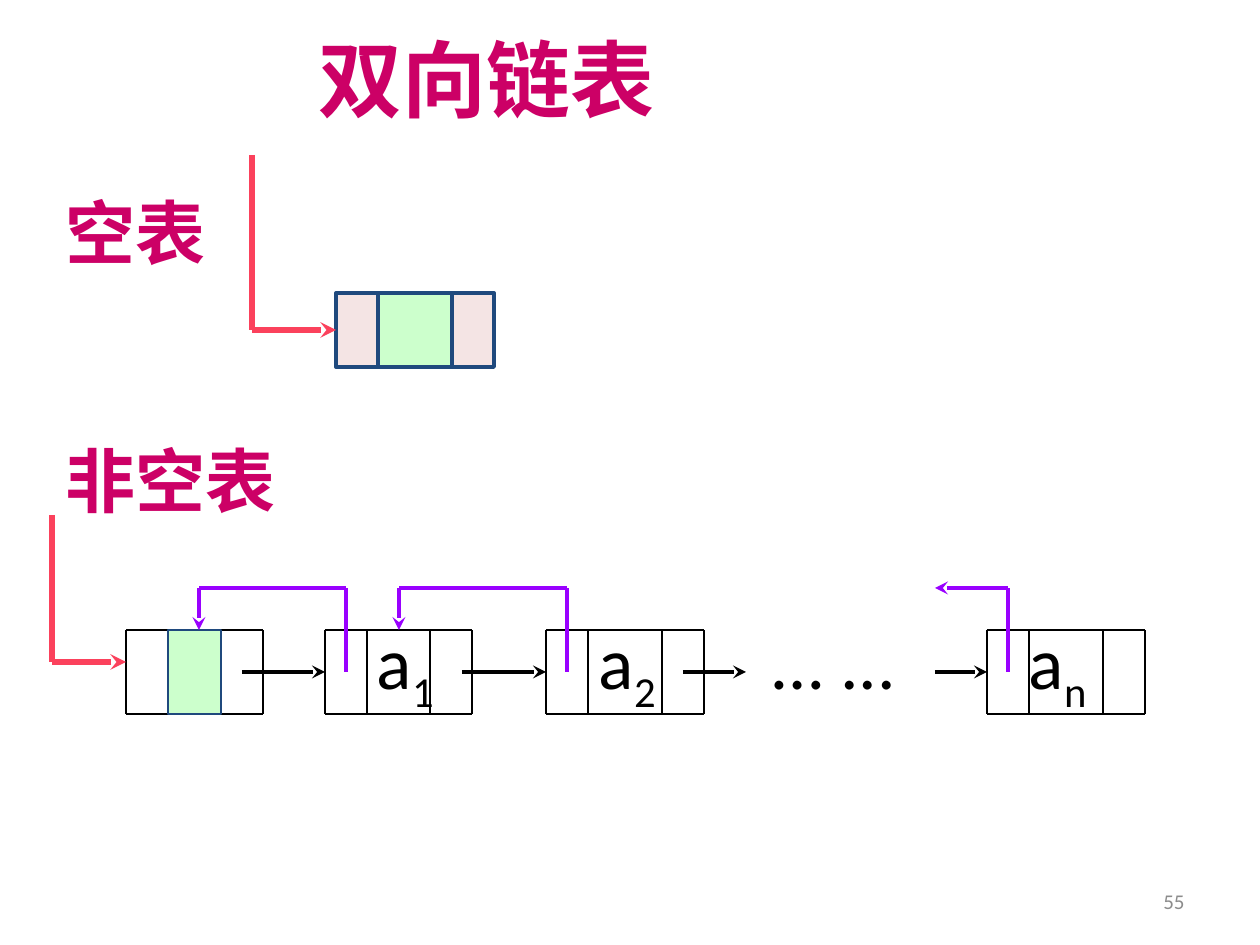
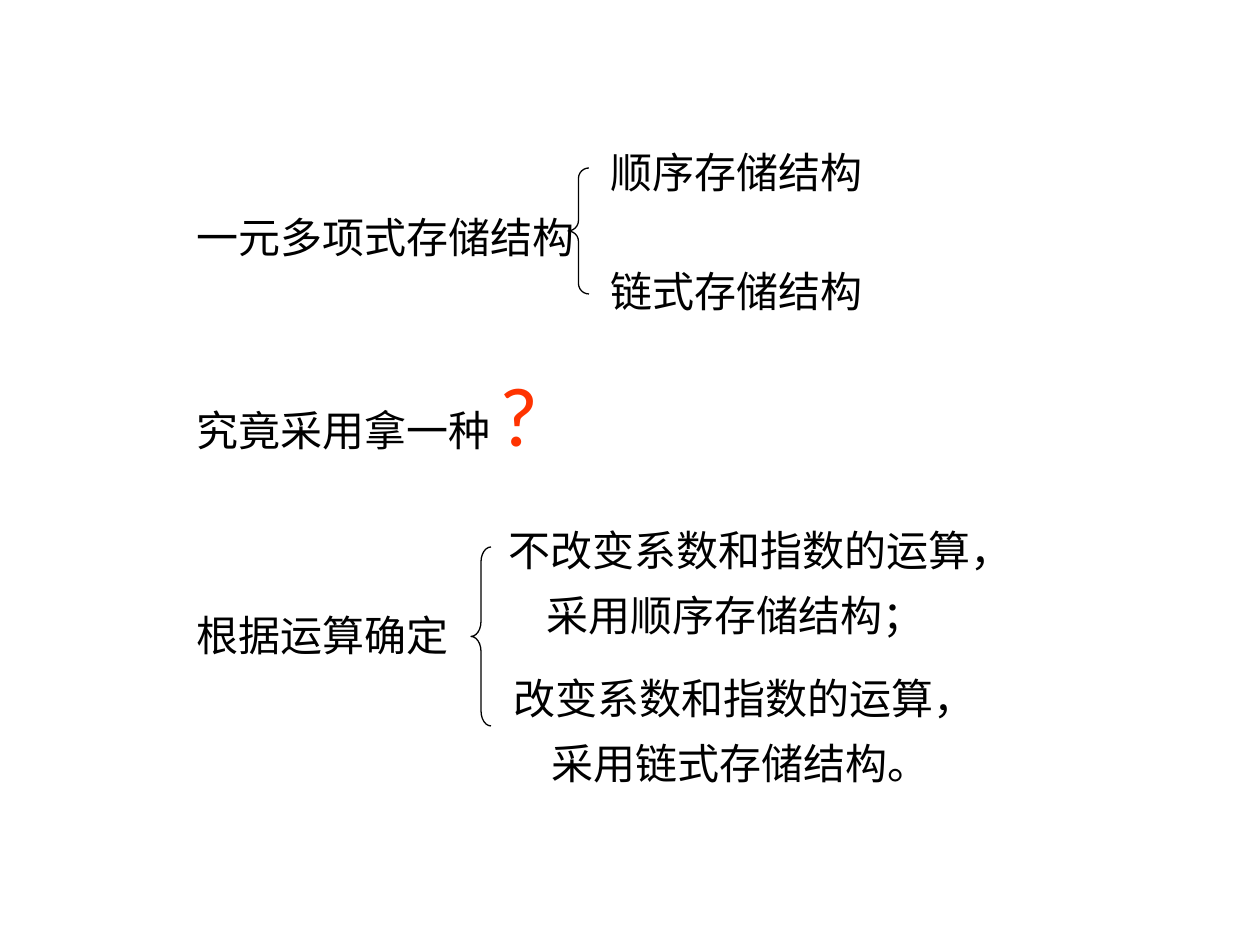
import itertools

import lxml.etree
import pptx
import pptx.dml.color
import pptx.enum.lang
import pptx.enum.shapes
import pptx.enum.text
import pptx.oxml.ns
import pptx.util

RGB = pptx.dml.color.RGBColor
SHAPE = pptx.enum.shapes.MSO_SHAPE
ANCHOR = pptx.enum.text.MSO_ANCHOR
ALIGN = pptx.enum.text.PP_ALIGN
qn = pptx.oxml.ns.qn

MAGENTA = RGB(0xCC, 0x00, 0x66)
BLACK = RGB(0x00, 0x00, 0x00)
GREY = RGB(0x8C, 0x8C, 0x8C)
HEAD_RED = RGB(0xFB, 0x41, 0x5C)
PRIOR_PURPLE = RGB(0x99, 0x00, 0xFF)
NAVY = RGB(0x1F, 0x49, 0x7D)
GREEN = RGB(0xCC, 0xFF, 0xCC)
PINK = RGB(0xF4, 0xE4, 0xE4)
QUESTION_RED = RGB(0xFF, 0x33, 0x00)

BASE_FONT = {"name": "Calibri", "bold": False,
             "language_id": pptx.enum.lang.MSO_LANGUAGE_ID.SIMPLIFIED_CHINESE}
FRAME = {"word_wrap": True, "auto_size": pptx.enum.text.MSO_AUTO_SIZE.NONE,
         "vertical_anchor": ANCHOR.TOP}
MARGINS = ("margin_left", "margin_top", "margin_right", "margin_bottom")

LABEL_LEFT = 53
CELL = 42          # width of a pointer cell
NODE_HEIGHT = 84
INDENT = 38


def px(length):
    return pptx.util.Emu(round(length * 914400 / 126))


def set_all(target, values):
    for key, value in values.items():
        setattr(target, key, value)


def add_run(paragraph, text, size, color=BLACK, **font):
    run = paragraph.add_run()
    run.text = text
    set_all(run.font, {**BASE_FONT, "size": pptx.util.Pt(size), **font})
    run.font.color.rgb = color
    return run


def add_text(slide, box, text, size, color=BLACK, spacing=1.0, **font):
    """Add a text box with one run and return its text frame."""
    frame = slide.shapes.add_textbox(*map(px, box)).text_frame
    set_all(frame, FRAME)
    frame.paragraphs[0].line_spacing = spacing
    add_run(frame.paragraphs[0], text, size, color, **font)
    return frame


def add_title(slide, box, text):
    title = slide.shapes.title
    set_all(title, dict(zip(("left", "top", "width", "height"), map(px, box))))
    set_all(title.text_frame, FRAME)
    title.text_frame.paragraphs[0].alignment = ALIGN.LEFT
    add_run(title.text_frame.paragraphs[0], text, 48, MAGENTA, bold=True)


def add_line(slide, start, end, color=BLACK, width=0.75, arrow=False):
    line = slide.shapes.add_connector(
        pptx.enum.shapes.MSO_CONNECTOR.STRAIGHT, *map(px, (*start, *end)))
    line.line.color.rgb = color
    line.line.width = pptx.util.Pt(width)
    properties = line._element.spPr
    if arrow:
        lxml.etree.SubElement(properties.get_or_add_ln(), qn("a:tailEnd"), type="stealth")
    lxml.etree.SubElement(properties, qn("a:effectLst"))
    return line


def add_pointer(slide, points, color, width):
    """Join the points by straight lines; the last one has an arrowhead."""
    for start, end in itertools.pairwise(points):
        line = add_line(slide, start, end, color, width, arrow=end is points[-1])
    return line


def add_shape(slide, kind, box, outline, width, fill=None):
    shape = slide.shapes.add_shape(kind, *map(px, box))
    shape.shadow.inherit = False
    if fill is None:
        shape.fill.background()
    else:
        shape.fill.solid()
        shape.fill.fore_color.rgb = fill
    shape.line.color.rgb = outline
    shape.line.width = pptx.util.Pt(width)
    return shape


def add_brace(slide, box, curve):
    brace = add_shape(slide, SHAPE.LEFT_BRACE, box, BLACK, 0.75)
    brace.adjustments[0] = curve
    brace.adjustments[1] = 0.5


def add_node(slide, left, top, data_width):
    """Outline a node: prior cell, data cell, next cell."""
    bottom = top + NODE_HEIGHT
    edges = list(itertools.accumulate((CELL, data_width, CELL), initial=left))
    for y in (top, bottom):
        add_line(slide, (left, y), (edges[-1], y))
    for x in edges:
        add_line(slide, (x, top), (x, bottom))


def empty_list(slide, left, top):
    height = 74
    cells = [(CELL, PINK), (height, GREEN), (CELL, PINK)]
    shapes = []
    for width, fill in cells:
        shapes.append(add_shape(slide, SHAPE.RECTANGLE, (left, top, width, height),
                                NAVY, 2.25, fill))
        left += width
    prior = shapes[0]
    first = left - sum(width for width, _ in cells)
    middle = top + height // 2
    head = add_pointer(slide, [(first - 84, top - 138), (first - 84, middle), (first, middle)],
                       HEAD_RED, 3)
    head.end_connect(prior, 1)


def filled_list(slide, left, top):
    middle, above = top + NODE_HEIGHT // 2, top - 42
    head, first, second, last = (left + offset for offset in (0, 199, 420, 861))

    labels = [(first + 52, "a", "1"), (second + 53, "a", "2"),
              (left + 647, "… ...", ""), (last + 42, "a", "n")]
    for x, letter, index in labels:
        frame = add_text(slide, (x, top - 14, 140, 100), letter, 42)
        set_all(frame, dict.fromkeys(MARGINS, 0))
        if index:
            subscript = add_run(frame.paragraphs[0], index, 42)
            subscript.font._element.set("baseline", "-25000")

    for x, data_width in ((head, 53), (first, 63), (second, 74), (last, 74)):
        add_node(slide, x, top, data_width)
    add_shape(slide, SHAPE.RECTANGLE, (head + CELL, top, 53, NODE_HEIGHT), NAVY, 0.75, GREEN)

    for start, end in ((head + 116, first), (first + 137, second),
                       (second + 137, second + 200), (last - 52, last)):
        add_pointer(slide, [(start, middle), (end, middle)], BLACK, 2.5)

    for node, target in ((first, head + 73), (second, first + 74), (last, None)):
        stem = node + CELL // 2
        if target is None:
            route = [(last - 52, above)]
        else:
            route = [(target, above), (target, top)]
        add_pointer(slide, [(stem, middle), (stem, above), *route], PRIOR_PURPLE, 2.5)

    add_pointer(slide, [(left - 74, top - 115), (left - 74, top + 32), (left, top + 32)],
                HEAD_RED, 3)


def linked_list_slide(slide):
    add_title(slide, (306, 21, 367, 115), "双向链表")
    for top, width, text in ((183, 168, "空表"), (431, 238, "非空表")):
        add_text(slide, (LABEL_LEFT, top, width, 97), text, 40, MAGENTA, bold=True)
    empty_list(slide, 336, 293)
    filled_list(slide, 126, 630)
    number = add_text(slide, (903, 876, 294, 50), "55", 12, GREY)
    number.vertical_anchor = ANCHOR.MIDDLE
    number.paragraphs[0].alignment = ALIGN.RIGHT


def storage_choices(slide, left, top):
    add_text(slide, (left, top + 65, 417, 73), "一元多项式存储结构", 24, spacing=1.3)
    for y, text in ((0, "顺序存储结构"), (119, "链式存储结构")):
        add_text(slide, (left + 414, top + y, 290, 73), text, 24, spacing=1.3)
    add_brace(slide, (left + 384, top + 43, 21, 126), 0.5)


def question(slide, left, top):
    frame = add_text(slide, (left, top, 386, 135), "究竟采用拿一种 ", 24, spacing=1.3)
    add_run(frame.paragraphs[0], "?", 48, QUESTION_RED)


def operation_rules(slide, left, top):
    add_text(slide, (left, top + 85, 299, 73), "根据运算确定", 24, spacing=1.3)
    rules = [(312, 0, 539, "不改变系数和指数的运算，", "采用顺序存储结构；"),
             (317, 148, 498, "改变系数和指数的运算，", "采用链式存储结构。")]
    for x, y, width, operation, structure in rules:
        frame = add_text(slide, (left + x, top + y, width, 144), operation, 24, spacing=1.3)
        advice = frame.add_paragraph()
        advice.line_spacing = 1.3
        advice._p.get_or_add_pPr().set("marL", str(px(INDENT)))
        add_run(advice, structure, 24)
    add_brace(slide, (left + 287, top + 44, 20, 179), 0.75)


def storage_slide(slide):
    left = 184
    storage_choices(slide, left, 125)
    question(slide, left, 326)
    operation_rules(slide, left, 503)


def main():
    deck = pptx.Presentation()
    deck.slide_width, deck.slide_height = px(1260), px(945)
    title_only, blank = deck.slide_layouts[5], deck.slide_layouts[6]
    linked_list_slide(deck.slides.add_slide(title_only))
    storage_slide(deck.slides.add_slide(blank))
    deck.save("out.pptx")


if __name__ == "__main__":
    main()
